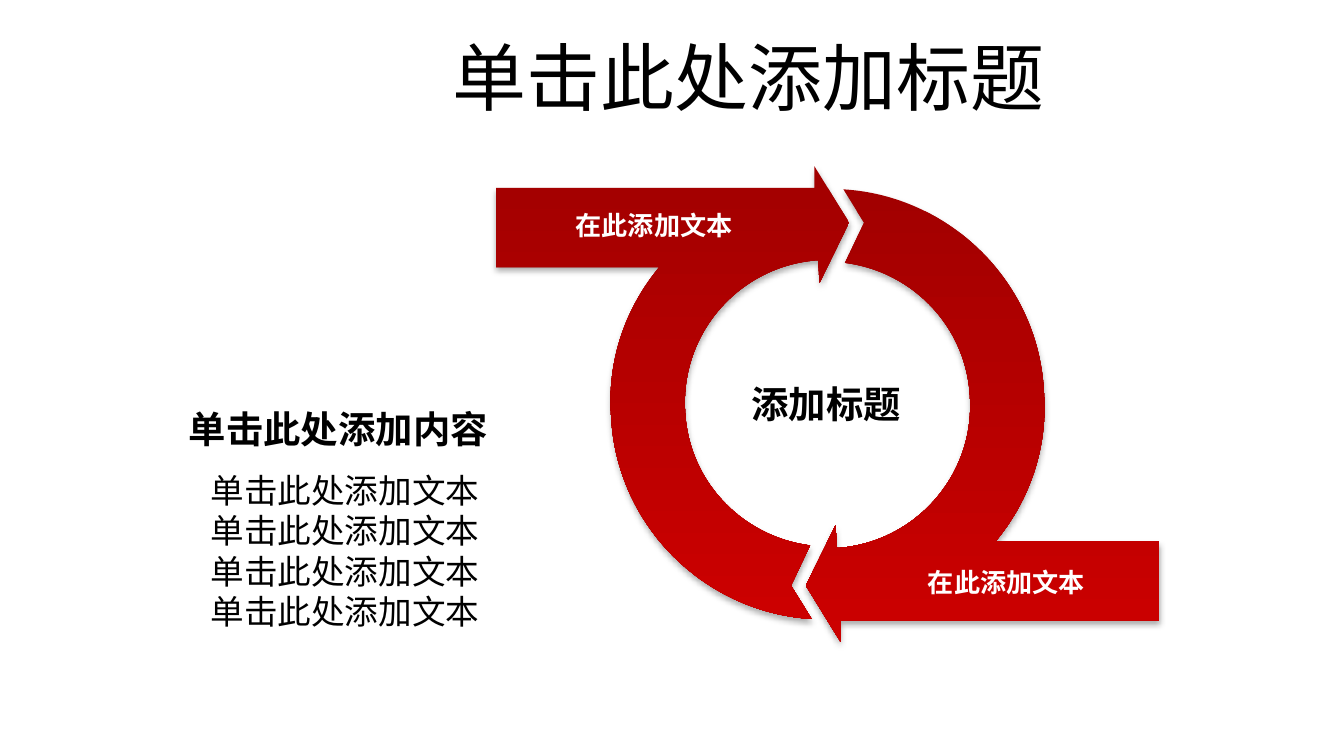
from dataclasses import dataclass

from lxml import etree
from pptx import Presentation
from pptx.dml.color import RGBColor
from pptx.enum.text import MSO_ANCHOR, MSO_AUTO_SIZE, PP_ALIGN
from pptx.oxml.ns import qn
from pptx.util import Cm, Pt

CENTER, RIGHT = PP_ALIGN.CENTER, PP_ALIGN.RIGHT
TOP, MIDDLE = MSO_ANCHOR.TOP, MSO_ANCHOR.MIDDLE
NO_FIT, GROW = MSO_AUTO_SIZE.NONE, MSO_AUTO_SIZE.SHAPE_TO_FIT_TEXT


@dataclass(frozen=True)
class Theme:
    black: RGBColor = RGBColor(0, 0, 0)
    white: RGBColor = RGBColor(255, 255, 255)
    dark_red: RGBColor = RGBColor(0xA2, 0, 0)
    red: RGBColor = RGBColor(0xCC, 0, 0)
    title_font: str = "Roboto"
    label_font: str = "Calibri"
    body_font: str = "Noto Sans CJK SC"
    title_size: float = 39.6
    heading_size: float = 20
    label_size: float = 14
    body_size: float = 18
    body_leading: float = 21.6


THEME = Theme()
TITLE = dict(name=THEME.title_font, size=Pt(THEME.title_size), color=THEME.black)
HEADING = dict(name=THEME.label_font, size=Pt(THEME.heading_size), bold=True, color=THEME.black)
LABEL = dict(HEADING, size=Pt(THEME.label_size), color=THEME.white)
BODY = dict(name=THEME.body_font, size=Pt(THEME.body_size), color=THEME.black)

ARROW_OUTLINE = [
    [(-0.25, -4.5)], [(-0.25, -4.09)], [(-6.27, -4.09)], [(-6.27, -2.59)], [(-3.18, -2.59)],
    [(-3.81, -1.83), (-4.17, -0.84), (-4.09, 0.23)],
    [(-3.99, 2.31), (-2.31, 3.94), (-0.3, 4.06)],
    [(-0.69, 3.43)], [(-0.33, 2.67)],
    [(-1.6, 2.51), (-2.62, 1.47), (-2.69, 0.15)],
    [(-2.79, -1.35), (-1.65, -2.62), (-0.18, -2.72)],
    [(-0.15, -2.29)], [(0.41, -3.43)],
]


def add_text(page, box, lines, style, align=CENTER, anchor=TOP, fit=GROW, leading=None):
    frame = page.shapes.add_textbox(*map(Cm, box)).text_frame
    for key, value in dict(word_wrap=True, auto_size=fit, vertical_anchor=anchor).items():
        setattr(frame, key, value)
    for index, line in enumerate(lines):
        para = frame.add_paragraph() if index else frame.paragraphs[0]
        para.alignment = align
        if leading:
            para.line_spacing = Pt(leading)
        span = para.add_run()
        span.text = line
        for key, value in style.items():
            if key == "color":
                span.font.color.rgb = value
            else:
                setattr(span.font, key, value)


def bend_segments(shape, steps):
    segments = list(shape._element.iter(qn("a:lnTo")))
    for segment, step in zip(segments, steps):
        if len(step) == 1:
            continue
        segment.tag = qn("a:cubicBezTo")
        for index, (x, y) in enumerate(step[:-1]):
            handle = etree.Element(qn("a:pt"), x=str(x - shape.left), y=str(y - shape.top))
            segment.insert(index, handle)


def add_shadow(shape):
    shape.shadow.inherit = False
    effects = shape._element.spPr.find(qn("a:effectLst"))
    shadow = etree.SubElement(effects, qn("a:outerShdw"), blurRad=str(Pt(3.5)),
                              dist=str(Pt(2.2)), dir="5400000", algn="t", rotWithShape="0")
    color = etree.SubElement(shadow, qn("a:srgbClr"), val=str(THEME.black))
    etree.SubElement(color, qn("a:alpha"), val="32000")


def add_arrow(page, center, turn):
    steps = [[tuple(int(Cm(c + turn * d)) for c, d in zip(center, point)) for point in step]
             for step in ARROW_OUTLINE]
    corners = [step[-1] for step in steps]
    builder = page.shapes.build_freeform(*corners[0], scale=1.0)
    builder.add_line_segments(corners[1:], close=True)
    arrow = builder.convert_to_shape()
    bend_segments(arrow, steps[1:])
    arrow.fill.gradient()
    arrow.fill.gradient_angle = 270
    for stop, color, position in zip(arrow.fill.gradient_stops, (THEME.dark_red, THEME.red), (0, 1)):
        stop.color.rgb = color
        stop.position = position
    arrow.line.fill.background()
    add_shadow(arrow)


def add_cycle(page, box):
    left, top, width, height = box
    center = (left + width / 2, top + height / 2)
    for turn in (1, -1):
        add_arrow(page, center, turn)
    add_text(page, (center[0] - 2.78, center[1] - 0.56, 5.51, 1.12), ["添加标题"], HEADING)
    for x, y in ((0.43, 0.7), (7.09, 7.44)):
        add_text(page, (left + x, top + y, 5.13, 0.86), ["在此添加文本"], LABEL)


def add_content(page, box):
    left, top, width, height = box
    add_text(page, (left, top, width, 1.12), ["单击此处添加内容"], HEADING)
    add_text(page, (left, top + 1.2, width - 0.58, height - 1.2), ["单击此处添加文本"] * 4,
             BODY, align=RIGHT, leading=THEME.body_leading)


def add_title(page, box):
    add_text(page, box, ["单击此处添加标题"], TITLE, anchor=MIDDLE, fit=NO_FIT)


deck = Presentation()
deck.slide_width, deck.slide_height = Cm(25.4), Cm(14.29)
page = deck.slides.add_slide(deck.slide_layouts[6])
add_title(page, (3.1, 0.71, 22.1, 1.45))
add_cycle(page, (9.37, 3.14, 12.54, 9))
add_content(page, (2.9, 7.56, 6.99, 4.53))
deck.save("out.pptx")
